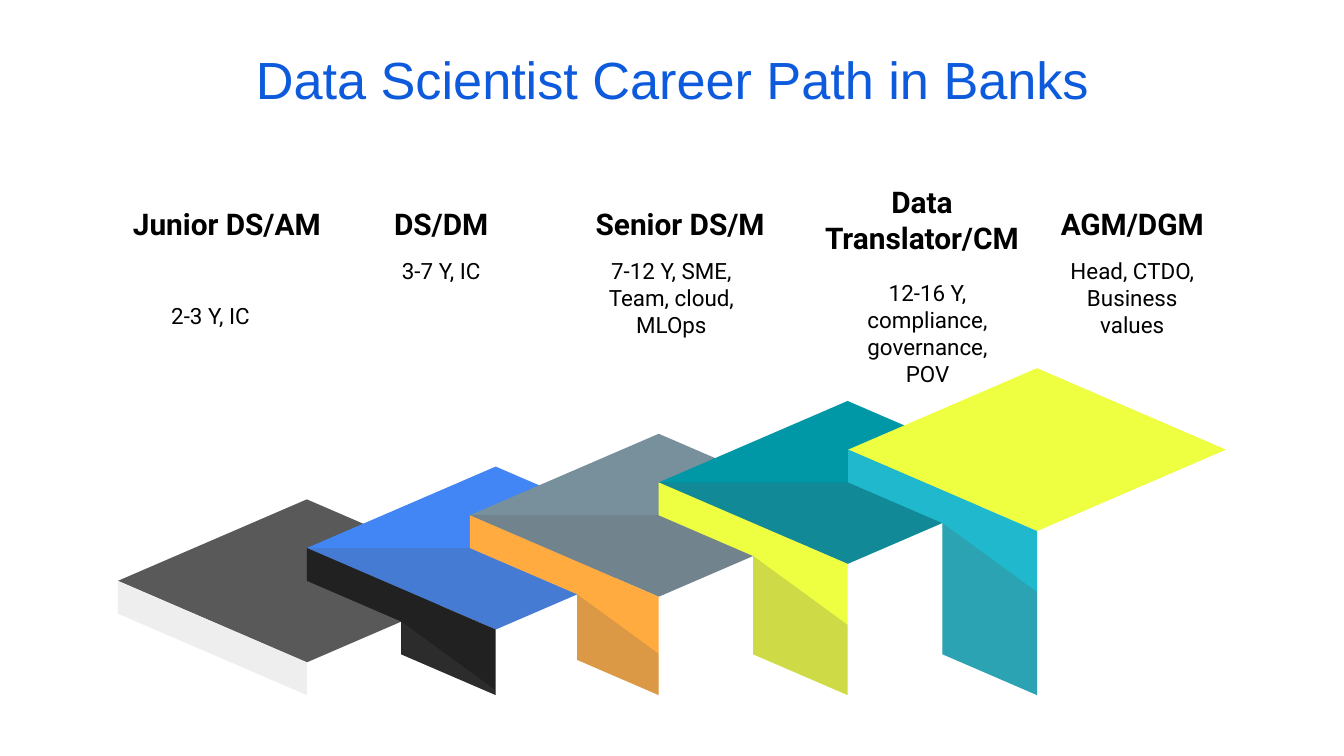
from pptx import Presentation
from pptx.dml.color import RGBColor
from pptx.enum.text import MSO_ANCHOR, PP_ALIGN
from pptx.oxml.ns import qn
from pptx.util import Cm, Pt
from lxml import etree

MID, TOP = MSO_ANCHOR.MIDDLE, MSO_ANCHOR.TOP
CENTER = PP_ALIGN.CENTER

THEME = {
    "title": ("Arial", 28, False, "0D5BDC"),
    "head": ("Roboto", 16, True, "000000"),
    "note": ("Roboto", 12, False, "000000"),
    "shade": "595959",
    "wall": "FFFFFF",
}
TITLE = "Data Scientist Career Path in Banks"

STEPS = [
    (2.23, "595959", "EEEEEE"),
    (5.80, "4285F4", "212121"),
    (8.88, "78909C", "FFAB40"),
    (12.45, "0097A7", "EEFF41"),
    (16.03, "EEFF41", "1FB8CC"),
]
LABELS = [
    ("head", "Junior DS/AM", 2.26, 3.63, 4.06),
    ("head", "DS/DM", 6.60, 3.63, 3.48),
    ("head", "Senior DS/M", 10.95, 3.63, 3.81),
    ("head", "Data Translator/CM", 14.76, 3.23, 5.33),
    ("head", "AGM/DGM", 19.66, 3.63, 3.48),
    ("note", "2-3 Y, IC", 2.24, 5.46, 3.48),
    ("note", "3-7 Y, IC", 6.60, 4.62, 3.48),
    ("note", "7-12 Y, SME, Team, cloud, MLOps", 10.95, 4.62, 3.48),
    ("note", "12-16 Y, compliance, governance, POV", 15.70, 5.03, 3.66),
    ("note", "Head, CTDO, Business values", 19.66, 4.62, 3.48),
]
HIGH = {"head": 1.14, "note": 2.06}

HALF, DROP = 3.57, 1.54
SLOPE = DROP / HALF
RISE = 0.62
FIRST, BASE = 10.98, 13.14
CAST = 0.73
ALPHA = 21


def write(shape, text, style, anchor):
    name, size, bold, color = THEME[style]
    frame = shape.text_frame
    frame.word_wrap = True
    frame.vertical_anchor = anchor
    frame.margin_left = frame.margin_right = Cm(0.25)
    frame.margin_top = frame.margin_bottom = Cm(0.25)
    frame.text = text
    para = frame.paragraphs[0]
    para.alignment = CENTER
    font = para.font
    font.name, font.size, font.bold = name, Pt(size), bold
    font.color.rgb = RGBColor.from_string(color)


def face(group, points, color, alpha=None):
    start, *rest = [(Cm(x), Cm(y)) for x, y in points]
    pen = group.shapes.build_freeform(*start)
    pen.add_line_segments(rest, close=True)
    shape = pen.convert_to_shape()
    shape.shadow.inherit = False
    shape.line.fill.background()
    shape.fill.solid()
    shape.fill.fore_color.rgb = RGBColor.from_string(color)
    if alpha:
        tint = shape._element.spPr.find(".//" + qn("a:srgbClr"))
        etree.SubElement(tint, qn("a:alpha")).set("val", str(alpha * 1000))


def level(i):
    return FIRST - i * RISE


def joint(i):
    left = STEPS[i][0]
    x = (left + STEPS[i - 1][0] + 2 * HALF) / 2
    return x, level(i) + RISE + (x - left) * SLOPE


def draw_step(group, i):
    left, top, front = STEPS[i]
    y = level(i)
    mid, right = left + HALF, left + 2 * HALF
    low = (mid, y + DROP)
    foot = (mid, BASE)
    last = i == len(STEPS) - 1
    end = (right, y) if last else joint(i + 1)
    heel = (end[0], BASE - (end[0] - mid) * SLOPE)

    face(group, [end, low, foot, heel], THEME["wall"])
    face(group, [(mid, y - DROP), (left, y), low, (right, y)], top)
    if not last:
        face(group, [end, low, (left, y), (STEPS[i + 1][0], y)],
             THEME["shade"], ALPHA)

    edge = [(left, y), (left, y + RISE)]
    if i == 0:
        face(group, edge + [foot, low], front)
        return
    bend = joint(i)
    span = mid - bend[0]
    toe = (bend[0], BASE - span * SLOPE)
    face(group, edge + [bend, toe, foot, low], front)
    face(group, [foot, toe, bend, (mid, bend[1] + span * CAST)],
         THEME["shade"], ALPHA)


def main():
    deck = Presentation()
    deck.slide_width, deck.slide_height = Cm(25.4), Cm(14.29)
    slide = deck.slides.add_slide(deck.slide_layouts[5])

    title = slide.shapes.title
    title.left, title.top = Cm(3.56), Cm(0.81)
    title.width, title.height = Cm(18.29), Cm(1.35)
    write(title, TITLE, "title", MID)

    stairs = slide.shapes.add_group_shape()
    for i in range(len(STEPS)):
        draw_step(stairs, i)

    for style, text, x, y, wide in LABELS:
        box = slide.shapes.add_textbox(Cm(x), Cm(y), Cm(wide), Cm(HIGH[style]))
        write(box, text, style, TOP)

    deck.save("out.pptx")


if __name__ == "__main__":
    main()
